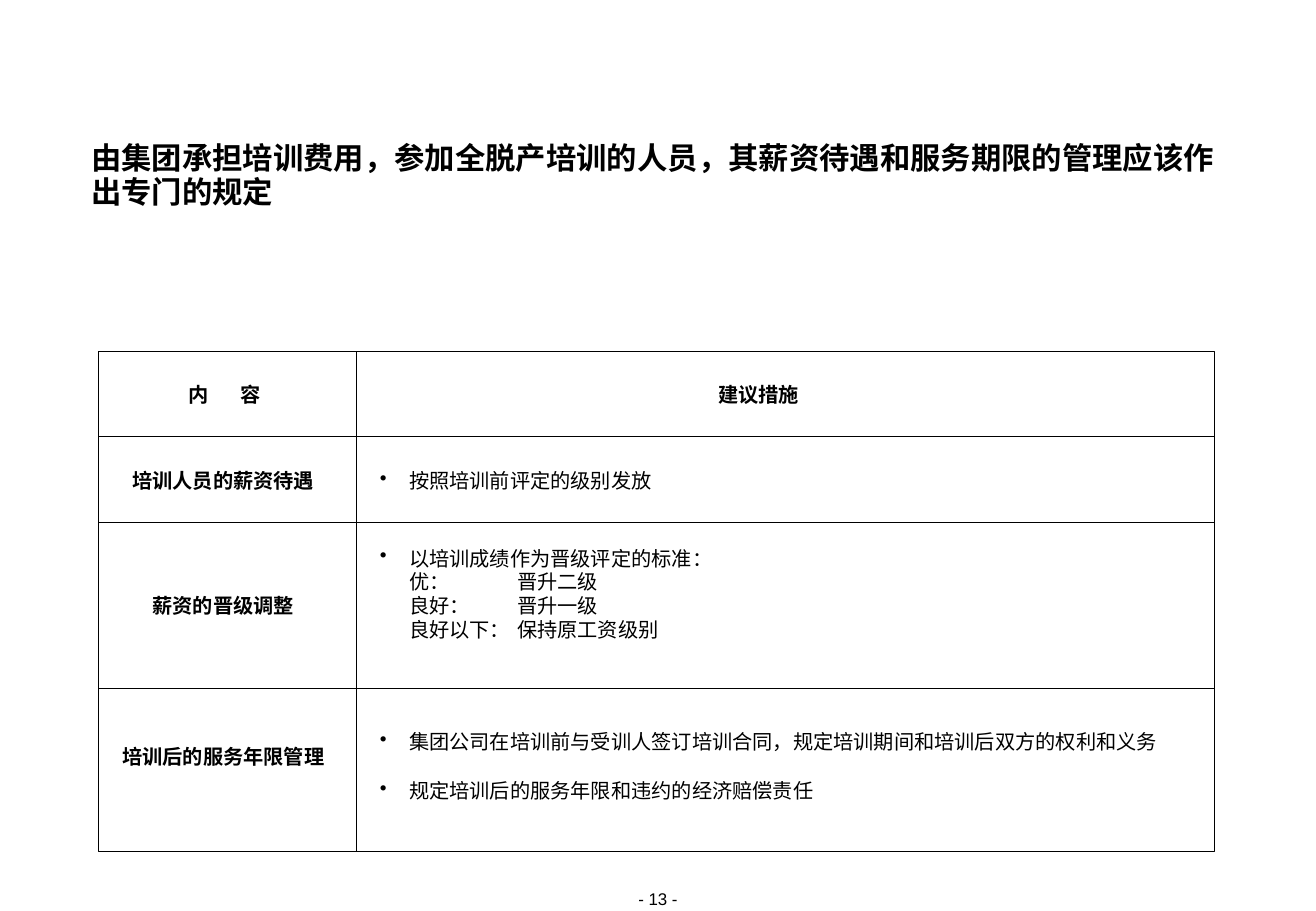
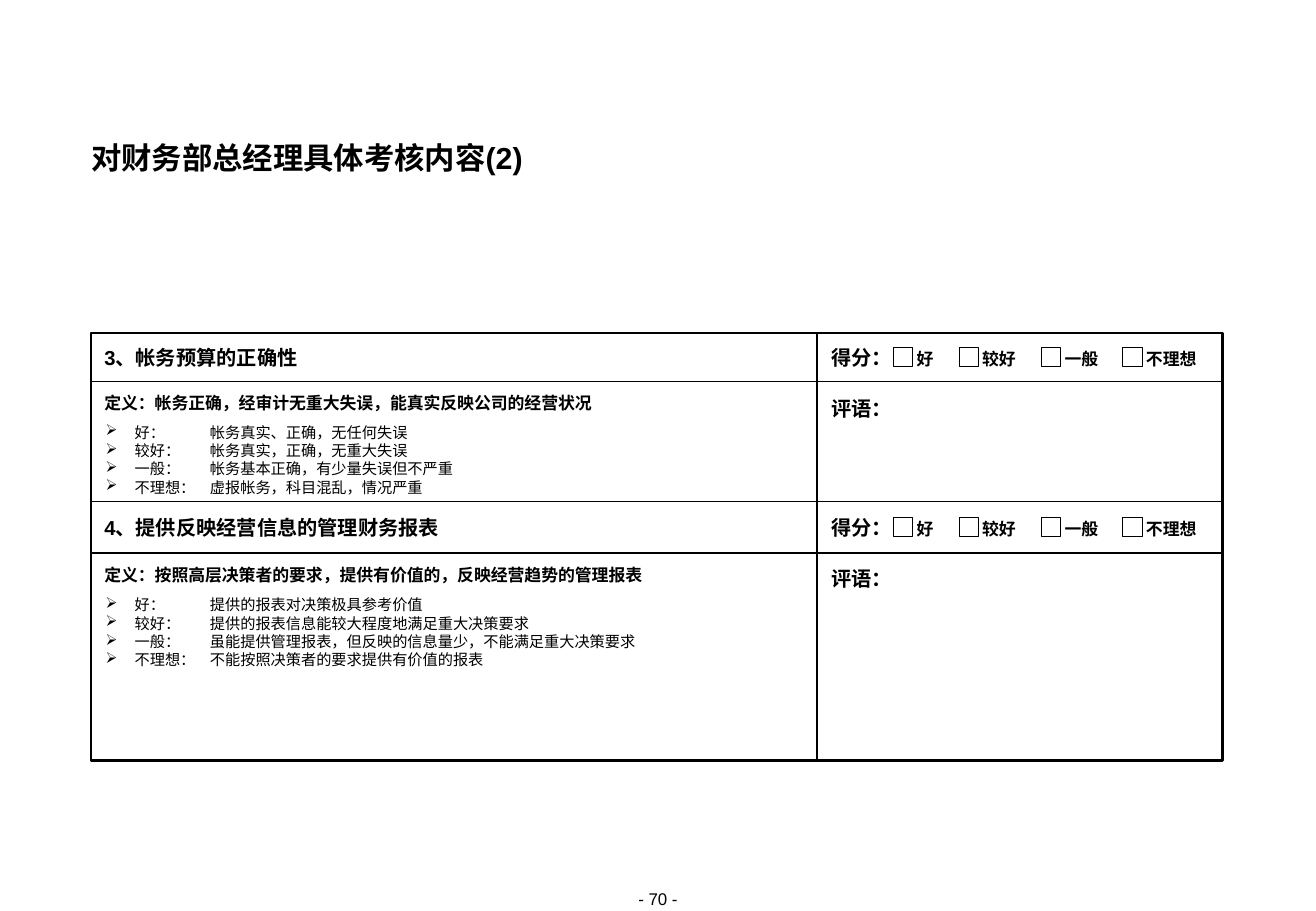
from dataclasses import dataclass, replace

from lxml import etree
from pptx import Presentation
from pptx import util as u
from pptx.dml import color
from pptx.enum import shapes, text
from pptx.oxml import ns

LEFT, CENTER = text.PP_ALIGN.LEFT, text.PP_ALIGN.CENTER


@dataclass(frozen=True)
class Theme:
    font: str = "Arial"
    ink: color.RGBColor = color.RGBColor(0, 0, 0)
    paper: color.RGBColor = color.RGBColor(255, 255, 255)
    title: float = 18
    heading: float = 12
    label: float = 10
    detail: float = 9
    thin: float = 0.5
    medium: float = 1
    thick: float = 1.5


THEME = Theme()


@dataclass(frozen=True)
class Style:
    size: float
    bold: bool = False
    align: text.PP_ALIGN = LEFT
    line: u.Length | float | None = None
    before: float = 0
    indent: float = 0
    bullet: str = ""
    tab: float = 0


@dataclass(frozen=True)
class Area:
    left: float
    top: float
    width: float
    height: float


@dataclass(frozen=True)
class Block:
    area: Area
    style: Style
    lines: list[str]


@dataclass(frozen=True)
class Grid:
    frame: Area
    rows: list[float]
    column: float
    outer: float
    across: float


@dataclass(frozen=True)
class Criterion:
    top: float
    body_top: float
    heading: str
    definition: str
    levels: list[str]


TITLE = Style(THEME.title, True, line=u.Pt(20))
FOOTER = Style(THEME.label, align=CENTER)
HEADING = Style(THEME.heading, True, line=u.Pt(14))
CENTERED = replace(HEADING, align=CENTER)
SPREAD = replace(HEADING, tab=0.43)
MEASURE = Style(THEME.heading, line=u.Pt(14), before=15, indent=0.24, bullet="•", tab=1.13)
CRITERION = Style(THEME.heading, True)
DEFINITION = Style(THEME.label, True)
LEVEL = Style(THEME.detail, line=0.9, before=1.1, indent=0.25, bullet="➢", tab=0.87)
OPTION = Style(THEME.label, True, line=u.Pt(14))

POLICY_GRID = Grid(Area(0.81, 2.89, 9.19, 4.12), [3.59, 4.3, 5.67], 2.94,
                   THEME.thin, THEME.thin)
POLICY_BLOCKS = [
    Block(Area(1.55, 3.15, 0.8, 0.19), SPREAD, ["内\t容"]),
    Block(Area(5.25, 3.15, 2, 0.19), CENTERED, ["建议措施"]),
    Block(Area(0.84, 3.86, 2, 0.19), CENTERED, ["培训人员的薪资待遇"]),
    Block(Area(0.84, 4.89, 2, 0.19), CENTERED, ["薪资的晋级调整"]),
    Block(Area(0.84, 6.13, 2, 0.19), CENTERED, ["培训后的服务年限管理"]),
    Block(Area(3.13, 3.86, 6.6, 0.19), MEASURE, ["按照培训前评定的级别发放"]),
    Block(Area(3.13, 4.5, 6.6, 0.78), MEASURE,
          ["以培训成绩作为晋级评定的标准：\v优：\t晋升二级\v良好：\t晋升一级\v"
           "良好以下：\t保持原工资级别"]),
    Block(Area(3.13, 6.01, 6.6, 0.6), MEASURE,
          ["集团公司在培训前与受训人签订培训合同，规定培训期间和培训后双方的权利和义务",
           "规定培训后的服务年限和违约的经济赔偿责任"]),
]

REVIEW_GRID = Grid(Area(0.75, 2.74, 9.32, 3.52), [3.14, 4.13, 4.55], 6.73,
                   THEME.thick, THEME.medium)
CRITERIA = [
    Criterion(2.84, 3.23, "3、帐务预算的正确性",
              "定义：帐务正确，经审计无重大失误，能真实反映公司的经营状况",
              ["好：\t帐务真实、正确，无任何失误",
               "较好：\t帐务真实，正确，无重大失误",
               "一般：\t帐务基本正确，有少量失误但不严重",
               "不理想：\t虚报帐务，科目混乱，情况严重"]),
    Criterion(4.24, 4.65, "4、提供反映经营信息的管理财务报表",
              "定义：按照高层决策者的要求，提供有价值的，反映经营趋势的管理报表",
              ["好：\t提供的报表对决策极具参考价值",
               "较好：\t提供的报表信息能较大程度地满足重大决策要求",
               "一般：\t虽能提供管理报表，但反映的信息量少，不能满足重大决策要求",
               "不理想：\t不能按照决策者的要求提供有价值的报表"]),
]
OPTIONS = {"好": 7.36, "较好": 7.9, "一般": 8.58, "不理想": 9.25}


def place(area: Area) -> list[u.Length]:
    return [u.Inches(value) for value in (area.left, area.top, area.width, area.height)]


def add_block(page, block: Block) -> None:
    style = block.style
    frame = page.shapes.add_textbox(*place(block.area)).text_frame
    frame.margin_left = frame.margin_top = frame.margin_right = frame.margin_bottom = 0
    frame.word_wrap = True
    for index, line in enumerate(block.lines):
        para = frame.add_paragraph() if index else frame.paragraphs[0]
        para.text = line
        properties = para._p.get_or_add_pPr()
        if style.bullet:
            properties.set("marL", str(u.Inches(style.indent)))
            properties.set("indent", str(-u.Inches(0.24)))
            etree.SubElement(properties, ns.qn("a:buChar"), char=style.bullet)
            for span in para.runs:
                span.font.size = u.Pt(style.size)
        if style.tab:
            tabs = etree.SubElement(properties, ns.qn("a:tabLst"))
            etree.SubElement(tabs, ns.qn("a:tab"), pos=str(u.Inches(style.tab)), algn="l")
        para.alignment = style.align
        if style.line:
            para.line_spacing = style.line
        if index:
            para.space_before = u.Pt(style.before)
        para.font.name = THEME.font
        para.font.size = u.Pt(style.size)
        para.font.bold = style.bold
        para.font.color.rgb = THEME.ink


def add_page(deck, title: str, number: int):
    page = deck.slides.add_slide(deck.slide_layouts[6])
    add_block(page, Block(Area(0.75, 1.17, 9.33, 0.56), TITLE, [title]))
    add_block(page, Block(Area(4.85, 7.32, 1.14, 0.17), FOOTER, [f"- {number} -"]))
    return page


def add_rectangle(page, area: Area, weight: float) -> None:
    rectangle = page.shapes.add_shape(shapes.MSO_SHAPE.RECTANGLE, *place(area))
    rectangle.shadow.inherit = False
    rectangle.fill.solid()
    rectangle.fill.fore_color.rgb = THEME.paper
    rectangle.line.color.rgb = THEME.ink
    rectangle.line.width = u.Pt(weight)


def add_rule(page, start: tuple[float, float], end: tuple[float, float],
             weight: float) -> None:
    rule = page.shapes.add_connector(
        shapes.MSO_CONNECTOR.STRAIGHT, *map(u.Inches, (*start, *end)))
    rule.line.color.rgb = THEME.ink
    rule.line.width = u.Pt(weight)
    etree.SubElement(rule._element.spPr, ns.qn("a:effectLst"))


def add_grid(page, grid: Grid) -> None:
    frame = grid.frame
    right, bottom = frame.left + frame.width, frame.top + frame.height
    add_rectangle(page, frame, grid.outer)
    for row in grid.rows:
        add_rule(page, (frame.left, row), (right, row), grid.across)
    add_rule(page, (grid.column, frame.top), (grid.column, bottom), grid.outer)


def add_criterion(page, criterion: Criterion) -> None:
    top, body_top = criterion.top, criterion.body_top
    blocks = [
        Block(Area(0.86, top, 5.74, 0.2), CRITERION, [criterion.heading]),
        Block(Area(0.86, body_top, 5.74, 0.17), DEFINITION, [criterion.definition]),
        Block(Area(0.86, body_top + 0.27, 5.76, 0.59), LEVEL, criterion.levels),
        Block(Area(6.85, top, 0.55, 0.2), CRITERION, ["得分："]),
        Block(Area(6.85, top + 0.43, 0.55, 0.19), HEADING, ["评语："]),
    ]
    for block in blocks:
        add_block(page, block)
    for label, left in OPTIONS.items():
        add_rectangle(page, Area(left, top + 0.02, 0.16, 0.16), THEME.thin)
        add_block(page, Block(Area(left + 0.19, top, 0.6, 0.19), OPTION, [label]))


def add_policy_page(deck) -> None:
    page = add_page(
        deck, "由集团承担培训费用，参加全脱产培训的人员，其薪资待遇和服务期限的管理应该作出专门的规定", 13)
    add_grid(page, POLICY_GRID)
    for block in POLICY_BLOCKS:
        add_block(page, block)


def add_review_page(deck) -> None:
    page = add_page(deck, "对财务部总经理具体考核内容(2)", 70)
    add_grid(page, REVIEW_GRID)
    for criterion in CRITERIA:
        add_criterion(page, criterion)


def main() -> None:
    deck = Presentation()
    deck.slide_width, deck.slide_height = u.Inches(10.84), u.Inches(7.5)
    add_policy_page(deck)
    add_review_page(deck)
    deck.save("out.pptx")


if __name__ == "__main__":
    main()
